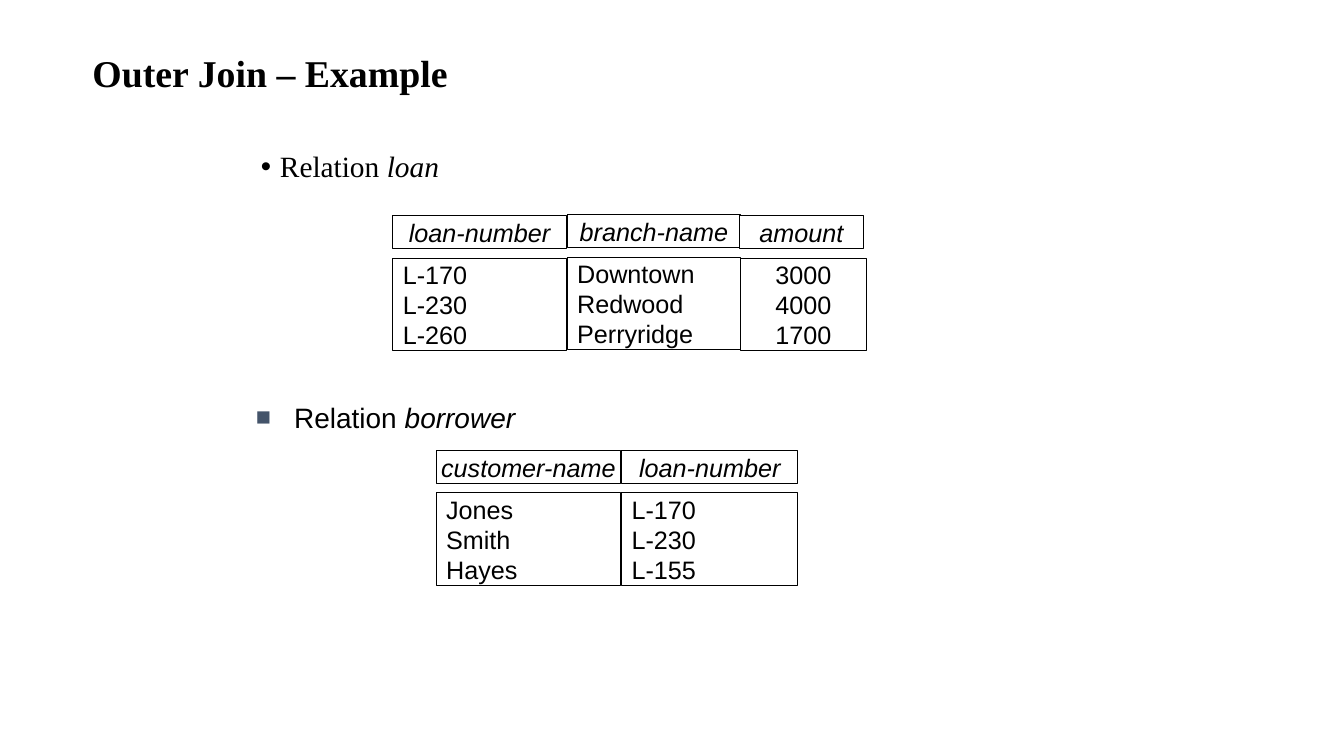
from pptx import Presentation
from pptx.dml.color import RGBColor as RGB
from pptx.enum.shapes import MSO_SHAPE as Shape
from pptx.enum.text import MSO_ANCHOR as Anchor, PP_ALIGN as Align
from pptx.oxml.ns import qn
from pptx.util import Inches, Pt
from lxml.etree import SubElement as Sub

# Content: runs are (text, italic)
TITLE = "Outer Join – Example"
LOAN = [("Relation ", False), ("loan", True)]
BORROWER = [("Relation ", False), ("borrower", True)]

# Tables: columns are (name, values, left, width, body alignment, head trim, lift)
TABLES = [
    {"top": 2.14, "cols": [
        ("loan-number", ["L-170", "L-230", "L-260"], 3.9, 1.72, Align.LEFT, 0, 0),
        ("branch-name", ["Downtown", "Redwood", "Perryridge"], 5.63, 1.72, Align.LEFT, 0, 0.01),
        ("amount", ["3000", "4000", "1700"], 7.35, 1.25, Align.CENTER, 0.02, 0),
    ]},
    {"top": 4.47, "cols": [
        ("customer-name", ["Jones", "Smith", "Hayes"], 4.33, 1.83, Align.LEFT, 0, 0),
        ("loan-number", ["L-170", "L-230", "L-155"], 6.17, 1.75, Align.LEFT, 0, 0),
    ]},
]
HEAD, STEP, BODY = 0.33, 0.42, 0.92

THEME = {
    "serif": "Times New Roman", "sans": "Arial",
    "ink": RGB(0, 0, 0), "paper": RGB(255, 255, 255), "mark": "44546A",
    "title": 27, "loan": 21, "borrower": 20, "cell": 18,
}


def add_run(para, text, font, size, italic=False, bold=False):
    run = para.add_run()
    run.text = text
    run.font.name = font
    run.font.size = Pt(size)
    run.font.italic = italic
    run.font.bold = bold
    run.font.color.rgb = THEME["ink"]


def add_text(slide, left, top, width, height, anchor=Anchor.TOP):
    box = slide.shapes.add_textbox(*map(Inches, (left, top, width, height)))
    frame = box.text_frame
    frame.word_wrap = True
    frame.vertical_anchor = anchor
    return frame.paragraphs[0]


def add_bullet(para, char, color, indent, scale=100):
    props = para._p.get_or_add_pPr()
    props.set("marL", str(Inches(indent)))
    props.set("indent", str(-Inches(indent)))
    Sub(Sub(props, qn("a:buClr")), qn("a:srgbClr"), val=color)
    Sub(props, qn("a:buSzPct"), val=str(scale * 1000))
    Sub(props, qn("a:buFont"), typeface=THEME["sans"])
    Sub(props, qn("a:buChar"), char=char)


def add_cell(slide, lines, left, top, width, height, align, head=False):
    cell = slide.shapes.add_shape(
        Shape.RECTANGLE, *map(Inches, (left, top, width, height)))
    cell.shadow.inherit = False
    cell.fill.solid()
    cell.fill.fore_color.rgb = THEME["paper"]
    cell.line.color.rgb = THEME["ink"]
    cell.line.width = Pt(0.75)
    frame = cell.text_frame
    frame.word_wrap = not head
    frame.vertical_anchor = Anchor.MIDDLE
    for i, line in enumerate(lines):
        para = frame.add_paragraph() if i else frame.paragraphs[0]
        para.alignment = align
        add_run(para, line, THEME["sans"], THEME["cell"], italic=head)


def main():
    deck = Presentation()
    deck.slide_width, deck.slide_height = Inches(13.34), Inches(7.5)
    slide = deck.slides.add_slide(deck.slide_layouts[6])

    # Title
    para = add_text(slide, 0.82, 0.02, 11.5, 1.45, Anchor.MIDDLE)
    para.line_spacing = 0.9
    add_run(para, TITLE, THEME["serif"], THEME["title"], bold=True)

    # Relation headings
    para = add_text(slide, 2.49, 1.46, 7.69, 0.53)
    para.line_spacing = 0.9
    add_bullet(para, "•", "000000", 0.19)
    for text, italic in LOAN:
        add_run(para, text, THEME["serif"], THEME["loan"], italic)

    para = add_text(slide, 2.44, 3.92, 7.69, 0.53)
    add_bullet(para, "■", THEME["mark"], 0.38, 90)
    for text, italic in BORROWER:
        add_run(para, text, THEME["sans"], THEME["borrower"], italic)

    # Relations drawn as a head row above a detached body
    for table in TABLES:
        for name, values, left, width, align, trim, lift in table["cols"]:
            top = table["top"] - lift
            add_cell(slide, values, left, top + STEP, width, BODY, align)
            add_cell(slide, [name], left - trim / 2, top, width - trim, HEAD,
                     Align.CENTER, head=True)

    deck.save("out.pptx")


if __name__ == "__main__":
    main()
